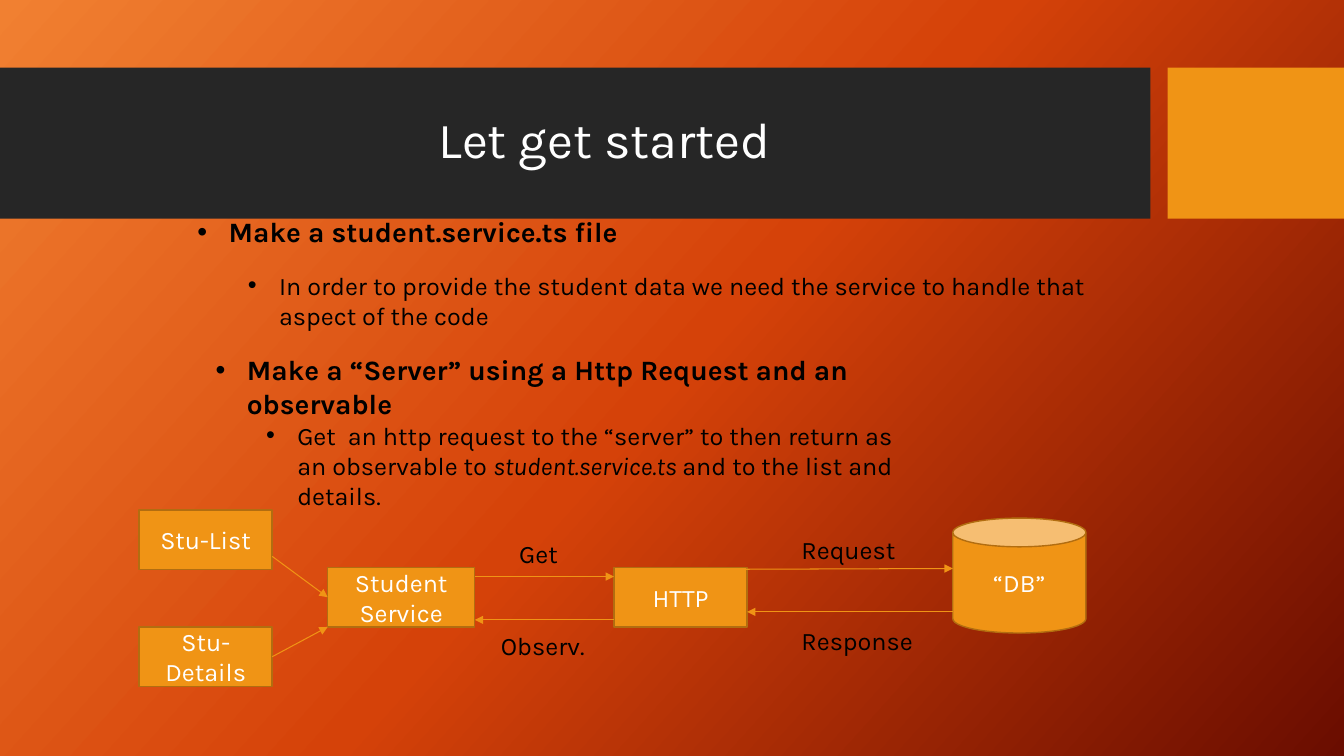
from copy import deepcopy

from lxml.etree import SubElement
from pptx import Presentation
from pptx.dml.color import RGBColor
from pptx.enum.dml import MSO_LINE
from pptx.enum.shapes import MSO_CONNECTOR as CONNECTOR, MSO_SHAPE as SHAPE
from pptx.enum.text import MSO_ANCHOR as ANCHOR, MSO_AUTO_SIZE as AUTO_SIZE, PP_ALIGN as ALIGN
from pptx.oxml.ns import qn
from pptx.util import Emu, Pt

COLORS = {
    "band": "262626", "accent": "F09415", "edge": "B26D10",
    "light": "FFFFFF", "ink": "000000",
    "start": "F18031", "middle": "D54209", "end": "6A0D00",
}


def color(name):
    return RGBColor.from_string(COLORS[name])


class Deck:
    """Draws styled elements on the current slide, with 100 px to the inch."""

    FONT = "Karla"
    PX = 9144

    def __init__(self, width, height):
        self.presentation = Presentation()
        self.presentation.slide_width, self.presentation.slide_height = self.px(width, height)

    def px(self, *lengths):
        return [Emu(length * self.PX) for length in lengths]

    def add_slide(self):
        self.slide = self.presentation.slides.add_slide(self.presentation.slide_layouts[5])
        self.shapes = self.slide.shapes

    def background(self, names, angle):
        fill = self.slide.background.fill
        fill.gradient()
        fill.gradient_angle = 360 - angle
        stops = self.slide.element.find(".//" + qn("a:gsLst"))
        stops.insert(1, deepcopy(stops[0]))
        for index, (stop, name) in enumerate(zip(fill.gradient_stops, names)):
            stop.position = index / (len(names) - 1)
            stop.color.rgb = color(name)

    def style(self, font, size, name, bold=False):
        font.name, font.size, font.bold = self.FONT, Pt(size), bold
        font.color.rgb = color(name)

    def title(self, text, *box):
        heading = self.shapes.title
        heading.left, heading.top, heading.width, heading.height = self.px(*box)
        self.shapes.element.append(heading.element)
        frame = heading.text_frame
        frame.text = text
        frame.vertical_anchor = ANCHOR.MIDDLE
        paragraph = frame.paragraphs[0]
        paragraph.alignment, paragraph.line_spacing = ALIGN.CENTER, 0.9
        self.style(paragraph.runs[0].font, 36, "light")

    def block(self, kind, fill, *box, edge=None):
        shape = self.shapes.add_shape(kind, *self.px(*box))
        shape.shadow.inherit = False
        shape.fill.solid()
        shape.fill.fore_color.rgb = color(fill)
        if edge:
            shape.line.color.rgb, shape.line.width = color(edge), Pt(1)
        else:
            shape.line.fill.background()
        return shape

    def node(self, text, *box, kind=SHAPE.RECTANGLE):
        shape = self.block(kind, "accent", *box, edge="edge")
        frame = shape.text_frame
        frame.word_wrap, frame.vertical_anchor = True, ANCHOR.MIDDLE
        frame.text = text
        frame.paragraphs[0].alignment = ALIGN.CENTER
        self.style(frame.paragraphs[0].runs[0].font, 18, "light")
        return shape

    def text_frame(self, *box):
        frame = self.shapes.add_textbox(*self.px(*box)).text_frame
        frame.word_wrap, frame.auto_size = True, AUTO_SIZE.SHAPE_TO_FIT_TEXT
        return frame

    def label(self, text, *box):
        frame = self.text_frame(*box)
        frame.text = text
        self.style(frame.paragraphs[0].runs[0].font, 18, "ink")

    def bullets(self, items, *box):
        frame = self.text_frame(*box)
        for index, (level, pieces) in enumerate(items):
            paragraph = frame.add_paragraph() if index else frame.paragraphs[0]
            paragraph.level = level
            properties = paragraph._p.get_or_add_pPr()
            margin, hanging = self.px(31 + 50 * level, -31)
            properties.set("marL", str(margin))
            properties.set("indent", str(hanging))
            SubElement(properties, qn("a:buFont"), typeface="Arial")
            SubElement(properties, qn("a:buChar"), char="•")
            for text, italic in pieces:
                run = paragraph.add_run()
                run.text = text
                self.style(run.font, 18 if level else 20, "ink", bold=not level)
                run.font.italic = italic

    def arrow(self, start, stop, source=None, target=None):
        line = self.shapes.add_connector(CONNECTOR.STRAIGHT, *self.px(*start, *stop))
        if source:
            line.begin_connect(source, 3)
        if target:
            line.end_connect(target, 1)
        line.line.color.rgb, line.line.width = color("accent"), Pt(0.75)
        line.line.dash_style = MSO_LINE.SOLID
        SubElement(line.line._get_or_add_ln(), qn("a:tailEnd"), type="triangle")
        SubElement(line._element.spPr, qn("a:effectLst"))


def main():
    deck = Deck(1333, 750)
    deck.add_slide()
    deck.background(("start", "middle", "end"), 42)
    deck.block(SHAPE.RECTANGLE, "band", 0, 67, 1141, 150)
    deck.block(SHAPE.RECTANGLE, "accent", 1158, 67, 175, 150)
    deck.title("Let get started", 74, 82, 1051, 118)

    deck.bullets([(0, [("Make a student.service.ts file", False)])], 186, 208, 470, 44)
    deck.bullets([(1, [("In order to provide the student data we need the service "
                        "to handle that aspect of the code", False)])], 186, 263, 946, 71)
    deck.bullets([
        (0, [("Make a “Server” using a Http Request and an observable", False)]),
        (1, [("Get  an http request to the “server” to then return as an observable to ", False),
             ("student.service.ts ", True),
             ("and to the list and details.", False)]),
    ], 204, 345, 708, 168)

    deck.node("Stu-List", 138, 506, 132, 59)
    details = deck.node("Stu-Details", 138, 622, 132, 59)
    service = deck.node("Student Service", 325, 563, 146, 59)
    deck.node("HTTP", 609, 563, 132, 59)
    deck.node("“DB”", 945, 514, 132, 114, kind=SHAPE.CAN)

    deck.arrow((270, 552), (325, 593), target=service)
    deck.arrow((270, 652), (325, 622), source=details)
    for start, stop in (
        ((471, 572), (609, 572)),
        ((665, 565), (945, 564)),
        ((945, 607), (741, 607)),
        ((609, 615), (471, 615)),
    ):
        deck.arrow(start, stop)

    for text, left, top, width in (
        ("Get", 505, 529, 75),
        ("Observ.", 487, 620, 105),
        ("Request", 785, 525, 132),
        ("Response", 785, 615, 132),
    ):
        deck.label(text, left, top, width, 40)

    deck.presentation.save("out.pptx")


if __name__ == "__main__":
    main()
